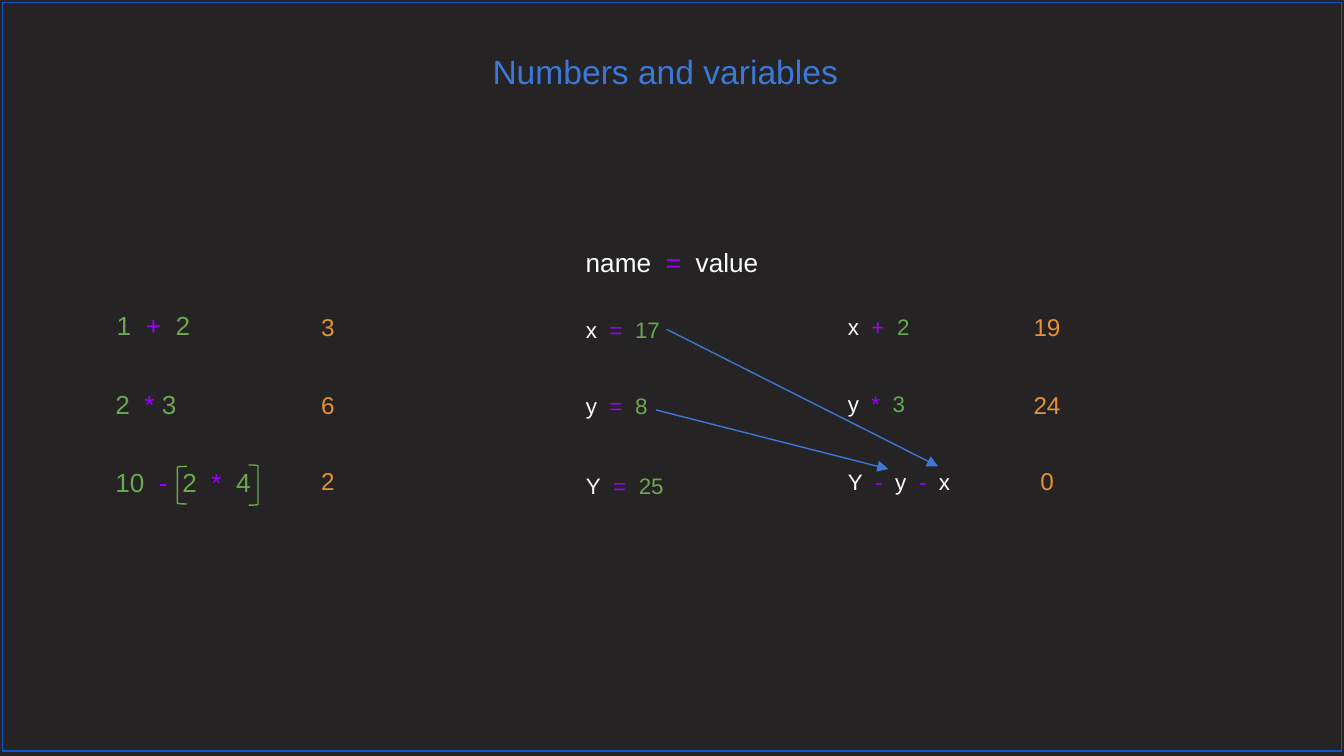
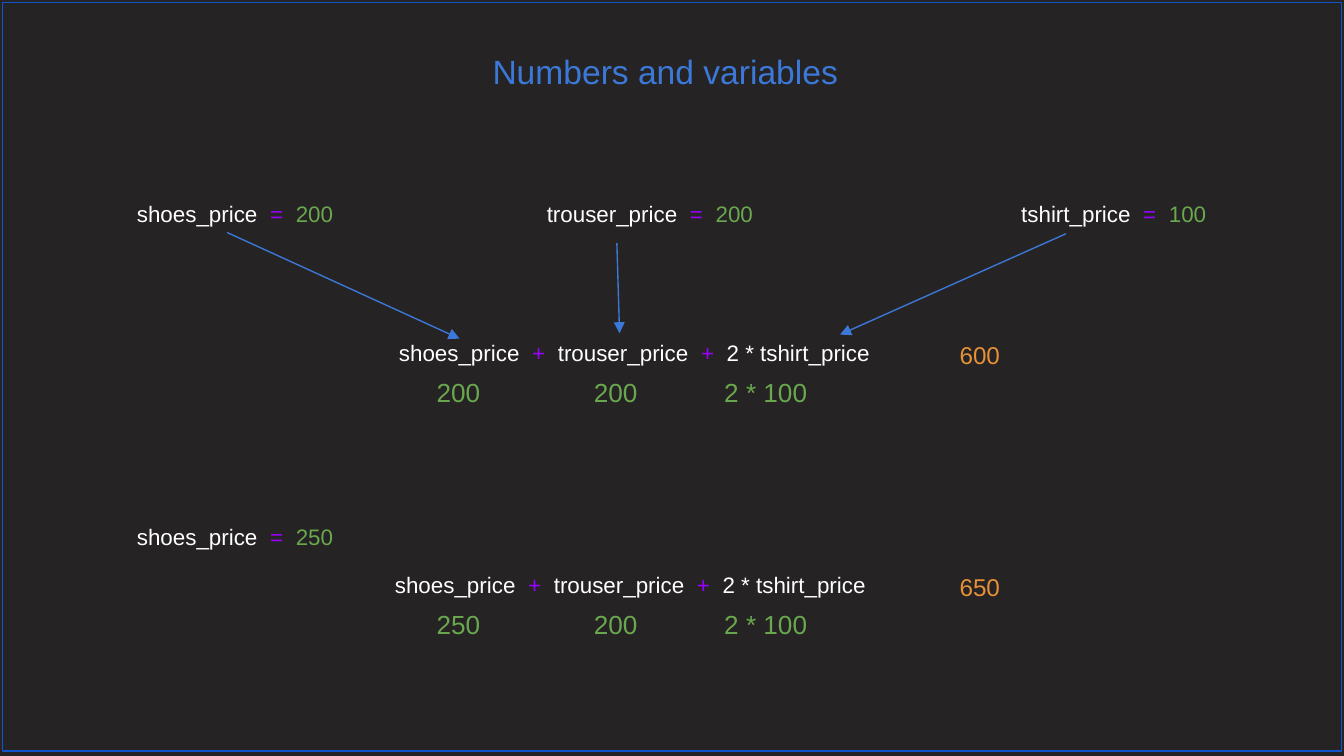
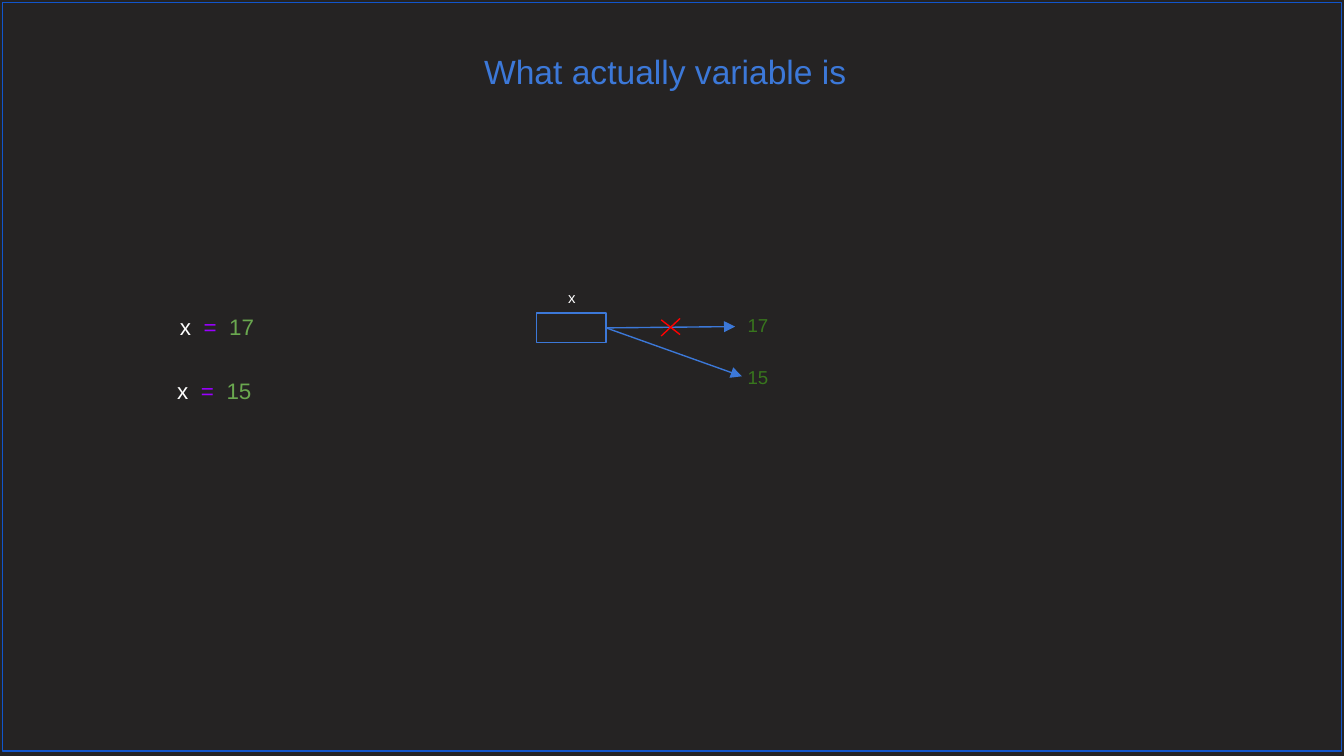
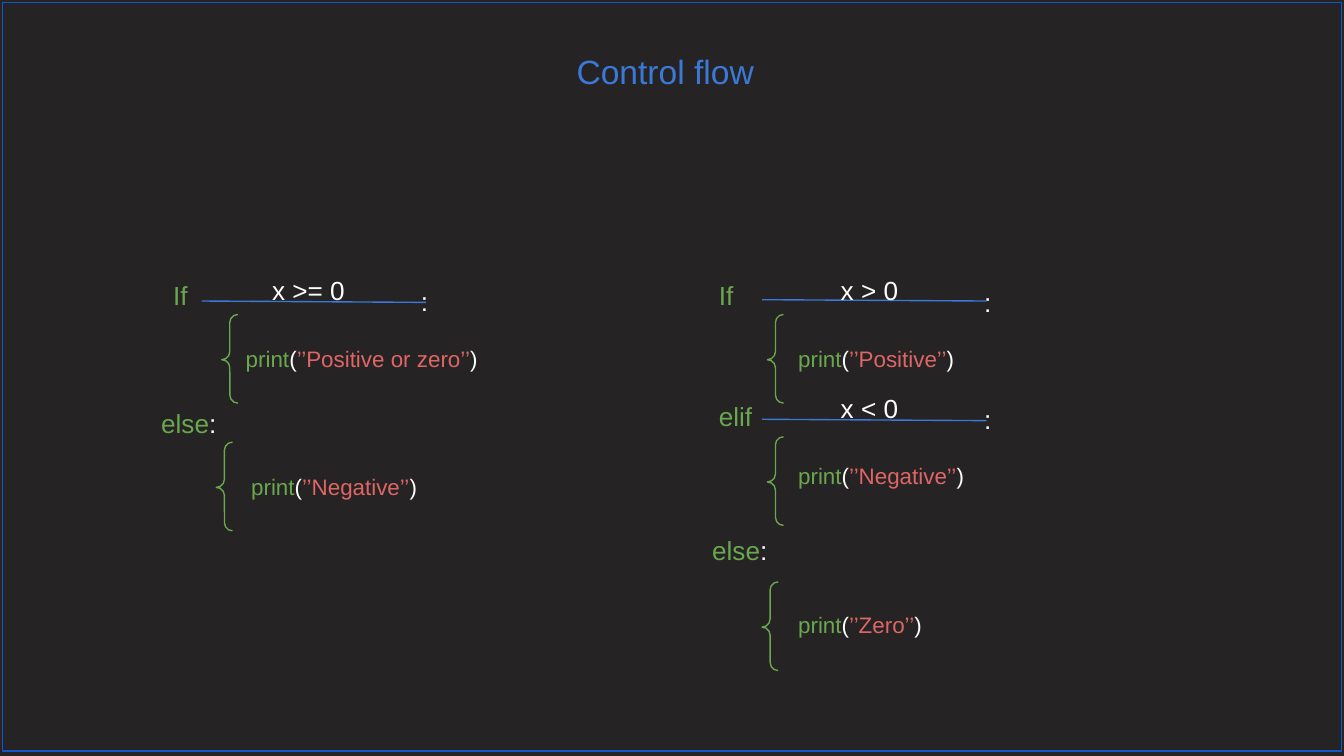
from dataclasses import dataclass

from lxml.etree import SubElement
from pptx import Presentation
from pptx.dml.color import RGBColor
from pptx.enum.shapes import MSO_CONNECTOR, MSO_SHAPE
from pptx.enum.text import MSO_ANCHOR, MSO_AUTO_SIZE, PP_ALIGN
from pptx.oxml.ns import qn
from pptx.util import Inches, Pt


@dataclass(frozen=True)
class Theme:
    font: str = "Arial"
    background: str = "252323"
    frame: str = "1155CC"
    accent: str = "3C78D8"
    text: str = "FFFFFF"
    operator: str = "9900FF"
    number: str = "6AA84F"
    stored: str = "38761D"
    result: str = "E69138"
    string: str = "E06666"
    crossed: str = "FF0000"
    title_size: int = 18
    large: int = 14
    medium: int = 13
    code: int = 12
    small: int = 10
    tiny: int = 8
    line: float = 0.75
    space_width: float = 0.28


THEME = Theme()


def color(value):
    return RGBColor.from_string(value)


def name(text):
    return text, THEME.text


def number(text):
    return text, THEME.number


def operator(symbol):
    return f" {symbol}", THEME.operator


def assignment(variable, value):
    return [name(variable), operator("="), number(f" {value}")]


def print_call(message):
    return [number("print"), name("("), (f"’’{message}’’", THEME.string), name(")")]


def fill_frame(frame, spans, size, align):
    frame.word_wrap = True
    frame.vertical_anchor = MSO_ANCHOR.TOP
    frame.margin_left = frame.margin_right = Inches(0.1)
    frame.margin_top = frame.margin_bottom = Inches(0.1)
    para = frame.paragraphs[0]
    para.alignment = align
    para.font.name = THEME.font
    para.font.size = Pt(size)
    if len(spans) == 1:
        para.font.color.rgb = color(spans[0][1])
    for text, tint in spans:
        span = para.add_run()
        span.text = text
        if len(spans) > 1:
            span.font.color.rgb = color(tint)
        if tint == THEME.operator:
            tracking = round(size * THEME.space_width * 100)
            span._r.get_or_add_rPr().set("spc", str(tracking))


def add_text(page, left, top, width, spans, size, align=PP_ALIGN.LEFT):
    height = round(0.2 + 0.017 * size, 2)
    box = page.shapes.add_textbox(Inches(left), Inches(top), Inches(width), Inches(height))
    fill_frame(box.text_frame, spans, size, align)
    box.text_frame.auto_size = MSO_AUTO_SIZE.SHAPE_TO_FIT_TEXT


def add_result(page, left, top, value):
    add_text(page, left, top, 0.58, [(value, THEME.result)], THEME.medium, PP_ALIGN.CENTER)


def add_outline(page, kind, left, top, width, height, tint, adjustments=()):
    shape = page.shapes.add_shape(
        kind, Inches(left), Inches(top), Inches(width), Inches(height)
    )
    shape.shadow.inherit = False
    shape.fill.background()
    shape.line.color.rgb = color(tint)
    shape.line.width = Pt(THEME.line)
    for index, value in enumerate(adjustments):
        shape.adjustments[index] = value
    return shape


def add_brace(page, left, top):
    add_outline(
        page, MSO_SHAPE.LEFT_BRACE, left, top, 0.12, 0.66, THEME.number, (0.5, 0.51)
    )


def add_line(page, start, end, tint=THEME.accent):
    points = [Inches(value) for value in (*start, *end)]
    line = page.shapes.add_connector(MSO_CONNECTOR.STRAIGHT, *points)
    line.line.color.rgb = color(tint)
    line.line.width = Pt(THEME.line)
    SubElement(line._element.spPr, qn("a:effectLst"))
    return line


def add_arrow(page, start, end):
    arrow = add_line(page, start, end)
    SubElement(arrow.line._get_or_add_ln(), qn("a:tailEnd"), type="triangle")
    return arrow


def add_page(deck, title):
    page = deck.slides.add_slide(deck.slide_layouts[5])
    box = page.shapes.title
    box.left, box.top = Inches(-0.05), Inches(0.28)
    box.width, box.height = Inches(10), Inches(0.63)
    fill_frame(box.text_frame, [(title, THEME.accent)], THEME.title_size, PP_ALIGN.CENTER)
    box.text_frame.auto_size = MSO_AUTO_SIZE.NONE
    add_outline(page, MSO_SHAPE.RECTANGLE, 0.02, 0.02, 9.96, 5.57, THEME.frame)
    return page


def build_expressions(deck):
    page = add_page(deck, "Numbers and variables")
    sums = [
        (0.77, 2.2, 0.93, [number("1"), operator("+"), number(" 2")]),
        (0.76, 2.79, 0.93, [number("2"), operator("*"), number("3")]),
        (
            0.76,
            3.37,
            1.33,
            [number("10"), operator("-"), number(" 2"), operator("*"), number(" 4")],
        ),
    ]
    for left, top, width, spans in sums:
        add_text(page, left, top, width, spans, THEME.large)

    for left, values in ((2.15, ("3", "6", "2")), (7.5, ("19", "24", "0"))):
        for top, value in zip((2.22, 2.8, 3.37), values):
            add_result(page, left, top, value)

    for top, variable, value in ((2.25, "x", 17), (2.82, "y", 8), (3.41, "Y", 25)):
        add_text(page, 4.26, top, 1.45, assignment(variable, value), THEME.code)

    uses = [
        (2.23, [name("x"), operator("+"), number(" 2")]),
        (2.8, [name("y"), operator("*"), number(" 3")]),
        (3.38, [name("Y"), operator("-"), name(" y"), operator("-"), name(" x")]),
    ]
    for top, spans in uses:
        add_text(page, 6.21, top, 1.45, spans, THEME.code)

    add_arrow(page, (4.88, 3.05), (6.61, 3.49))
    add_arrow(page, (4.96, 2.45), (6.98, 3.47))
    add_outline(
        page, MSO_SHAPE.LEFT_BRACKET, 1.32, 3.47, 0.07, 0.28, THEME.number, (0.08,)
    )
    add_outline(
        page, MSO_SHAPE.RIGHT_BRACKET, 1.85, 3.46, 0.07, 0.3, THEME.number, (0.08,)
    )
    pattern = [name("name"), operator("="), name(" value")]
    add_text(page, 4.26, 1.73, 2, pattern, THEME.large)


def add_total(page, left, top, shoes, total):
    formula = [
        name("shoes_price"),
        operator("+"),
        name(" trouser_price"),
        operator("+"),
        name(" 2 * tshirt_price"),
    ]
    add_text(page, left, top, 6.6 - left, formula, THEME.code)
    add_result(page, 7, top + 0.01, total)
    for value_left, value in ((3.15, shoes), (4.32, "200"), (5.29, "2 * 100")):
        add_text(page, value_left, top + 0.28, 0.89, [number(value)], THEME.large)


def build_prices(deck):
    page = add_page(deck, "Numbers and variables")
    prices = [
        (0.92, 1.39, 2.19, "shoes_price", 200),
        (3.97, 1.39, 2.06, "trouser_price", 200),
        (7.5, 1.39, 1.85, "tshirt_price", 100),
        (0.92, 3.79, 2.19, "shoes_price", 250),
    ]
    for left, top, width, variable, value in prices:
        add_text(page, left, top, width, assignment(variable, value), THEME.code)
    add_total(page, 2.87, 2.42, "200", "600")
    add_total(page, 2.84, 4.15, "250", "650")
    add_arrow(page, (1.69, 1.73), (3.42, 2.52))
    add_arrow(page, (4.59, 1.81), (4.61, 2.48))
    add_arrow(page, (7.93, 1.74), (6.25, 2.49))


def build_variable(deck):
    page = add_page(deck, "What actually variable is")
    variable = add_outline(page, MSO_SHAPE.RECTANGLE, 3.99, 2.33, 0.52, 0.22, THEME.accent)
    add_text(page, 4.09, 2.08, 0.33, [name("x")], THEME.tiny, PP_ALIGN.CENTER)
    for top, value in ((2.25, "17"), (2.64, "15")):
        add_text(page, 5.39, top, 0.5, [(value, THEME.stored)], THEME.small, PP_ALIGN.CENTER)
    for end in ((5.47, 2.43), (5.52, 2.8)):
        arrow = add_arrow(page, (4.51, 2.44), end)
        arrow.begin_connect(variable, 3)
    add_line(page, (4.92, 2.38), (5.06, 2.49), THEME.crossed)
    add_line(page, (5.06, 2.37), (4.92, 2.5), THEME.crossed)
    for left, top, value in ((1.24, 2.23, 17), (1.22, 2.71, 15)):
        add_text(page, left, top, 1.88, assignment("x", value), THEME.code)


def build_control_flow(deck):
    page = add_page(deck, "Control flow")
    keywords = [
        (1.19, 1.98, [number("If")]),
        (1.1, 2.93, [number("else"), name(":")]),
        (5.25, 1.98, [number("If")]),
        (5.25, 2.88, [number("elif")]),
        (5.2, 3.88, [number("else"), name(":")]),
    ]
    for left, top, spans in keywords:
        add_text(page, left, top, 1.15, spans, THEME.large)

    conditions = [
        (1.5, 2.24, 1.62, 1.94, 1.35, "x >= 0", 3.11, 2.02),
        (5.67, 2.23, 5.75, 1.94, 1.44, "x > 0", 7.3, 2.03),
        (5.67, 3.12, 5.75, 2.82, 1.44, "x < 0", 7.3, 2.9),
    ]
    for line_left, line_top, left, top, width, test, colon_left, colon_top in conditions:
        add_line(page, (line_left, line_top), (line_left + 1.67, line_top + 0.01))
        add_text(page, left, top, width, [name(test)], THEME.large, PP_ALIGN.CENTER)
        add_text(page, colon_left, colon_top, 0.12, [name(":")], THEME.large)

    bodies = [
        (1.65, 2.34, 1.73, 2.47, "Positive or zero"),
        (1.61, 3.29, 1.77, 3.42, "Negative"),
        (5.71, 2.34, 5.84, 2.47, "Positive"),
        (5.71, 3.25, 5.84, 3.34, "Negative"),
        (5.67, 4.33, 5.84, 4.45, "Zero"),
    ]
    for brace_left, brace_top, left, top, message in bodies:
        add_brace(page, brace_left, brace_top)
        add_text(page, left, top, 2.95, print_call(message), THEME.code)


def main():
    deck = Presentation()
    deck.slide_width = Inches(10)
    deck.slide_height = Inches(10) * 9 // 16
    fill = deck.slide_master.background.fill
    fill.solid()
    fill.fore_color.rgb = color(THEME.background)
    build_expressions(deck)
    build_prices(deck)
    build_variable(deck)
    build_control_flow(deck)
    deck.save("out.pptx")


if __name__ == "__main__":
    main()
